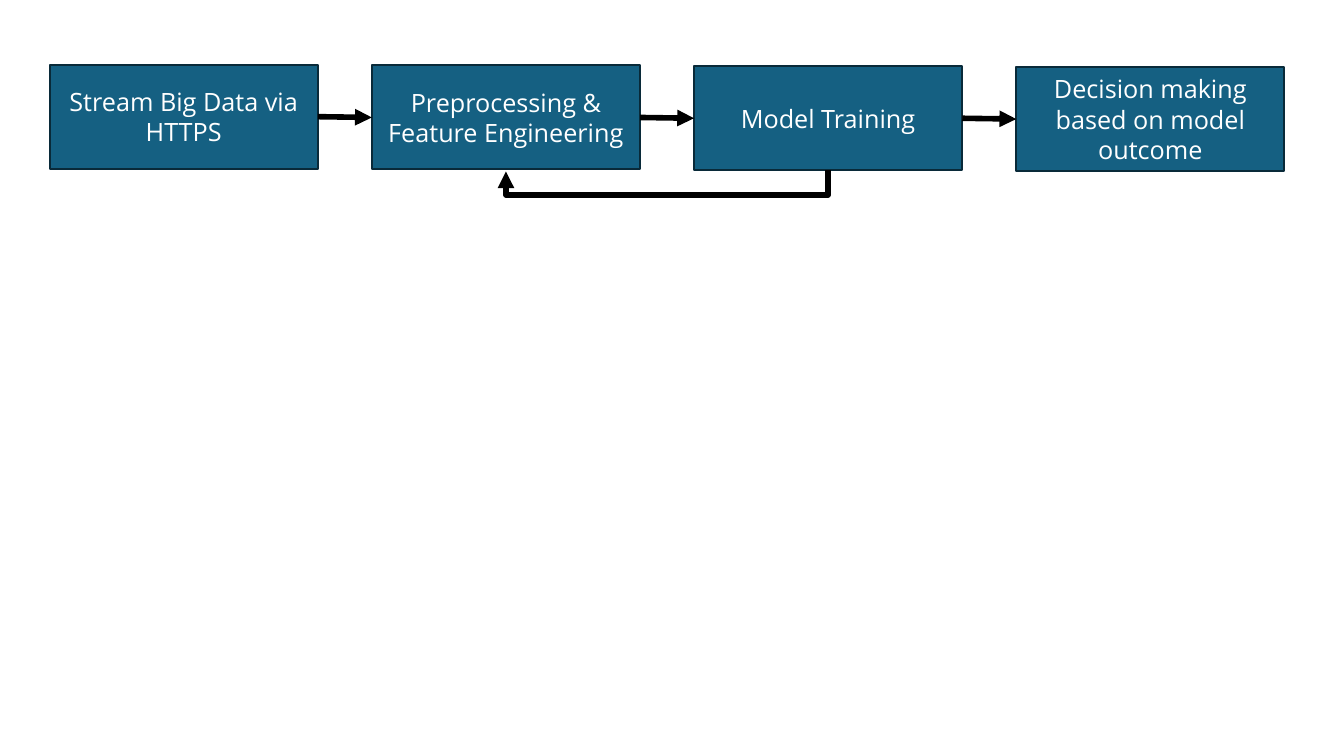
import pptx
import pptx.util
import pptx.dml.color
import pptx.enum.shapes
import pptx.enum.text
import pptx.oxml
import pptx.oxml.ns

Cm, Pt = pptx.util.Cm, pptx.util.Pt
LINK = pptx.enum.shapes.MSO_CONNECTOR
LEFT, BOTTOM, RIGHT = 1, 2, 3  # connection sites of a rectangle

STEPS = [
    "Stream Big Data via HTTPS",
    "Preprocessing & Feature Engineering",
    "Model Training",
    "Decision making based on model outcome",
]
FONT = {"name": "Open Sans", "size": Pt(18)}


def paint(part, color):
    """Give a fill, a line's fill or a font's fill one solid colour."""
    part.solid()
    part.fore_color.rgb = pptx.dml.color.RGBColor.from_string(color)


def add_step(slide, text, left, top, width, height):
    kind = pptx.enum.shapes.MSO_SHAPE.RECTANGLE
    step = slide.shapes.add_shape(kind, left, top, width, height)
    step.shadow.inherit = False
    paint(step.fill, "156082")
    paint(step.line.fill, "092A39")
    step.line.width = Pt(1.5)
    frame = step.text_frame
    frame.word_wrap = True
    frame.vertical_anchor = pptx.enum.text.MSO_ANCHOR.MIDDLE
    para = frame.paragraphs[0]
    para.alignment = pptx.enum.text.PP_ALIGN.CENTER
    run = para.add_run()
    run.text = text
    for key, value in FONT.items():
        setattr(run.font, key, value)
    paint(run.font.fill, "FFFFFF")
    return step


def add_arrow(slide, kind, start, out, end, into):
    """Join site `out` of start to site `into` of end."""
    arrow = slide.shapes.add_connector(kind, 0, 0, 0, 0)
    arrow.begin_connect(start, out)
    arrow.end_connect(end, into)
    paint(arrow.line.fill, "000000")
    arrow.line.width = Pt(4)
    head = pptx.oxml.ns.qn("a:tailEnd")
    arrow.line._get_or_add_ln().makeelement(head)
    arrow.line._get_or_add_ln().append(
        pptx.oxml.parse_xml(f'<a:tailEnd {pptx.oxml.ns.nsdecls("a")} type="triangle"/>'))
    arrow._element.spPr.append(
        pptx.oxml.parse_xml(f'<a:effectLst {pptx.oxml.ns.nsdecls("a")}/>'))
    return arrow


def add_loop(slide, start, end, drop):
    """Lead an arrow back below the steps, as a bent line turned by 90 degrees."""
    arrow = add_arrow(slide, LINK.ELBOW, start, BOTTOM, end, BOTTOM)
    span, thin = start.left - end.left, Cm(0.03)
    mid = end.left + (end.width + span) // 2
    base = start.top + start.height
    box = {"left": mid - thin // 2, "top": base + (thin - span) // 2,
           "width": thin, "height": span}
    for key, value in box.items():
        setattr(arrow, key, value)
    props = arrow._element.spPr
    turn = props.find(pptx.oxml.ns.qn("a:xfrm"))
    turn.attrib.clear()
    turn.set("rot", str(90 * 60000))
    shape = props.find(pptx.oxml.ns.qn("a:prstGeom"))
    bend = round(drop / thin * 100000)
    for old in list(shape):
        shape.remove(old)
    shape.append(pptx.oxml.parse_xml(
        f'<a:avLst {pptx.oxml.ns.nsdecls("a")}><a:gd name="adj1" fmla="val {bend}"/></a:avLst>'))


def add_flow(slide, left, top, width, height):
    """Spread the steps over the box, each a touch lower than the last."""
    wide, fall = Cm(6.76), Cm(0.02)
    pitch = (width - wide) // (len(STEPS) - 1)
    steps = [add_step(slide, text, left + i * pitch, top + i * fall, wide, height)
             for i, text in enumerate(STEPS)]
    for start, end in zip(steps, steps[1:]):
        add_arrow(slide, LINK.STRAIGHT, start, RIGHT, end, LEFT)
    add_loop(slide, steps[2], steps[1], Cm(0.62))


def main():
    deck = pptx.Presentation()
    deck.slide_width, deck.slide_height = Cm(33.87), Cm(19.05)
    slide = deck.slides.add_slide(deck.slide_layouts[6])
    paint(slide.background.fill, "FFFFFF")
    add_flow(slide, Cm(1.25), Cm(1.63), Cm(31.12), Cm(2.62))
    deck.save("out.pptx")


if __name__ == "__main__":
    main()
